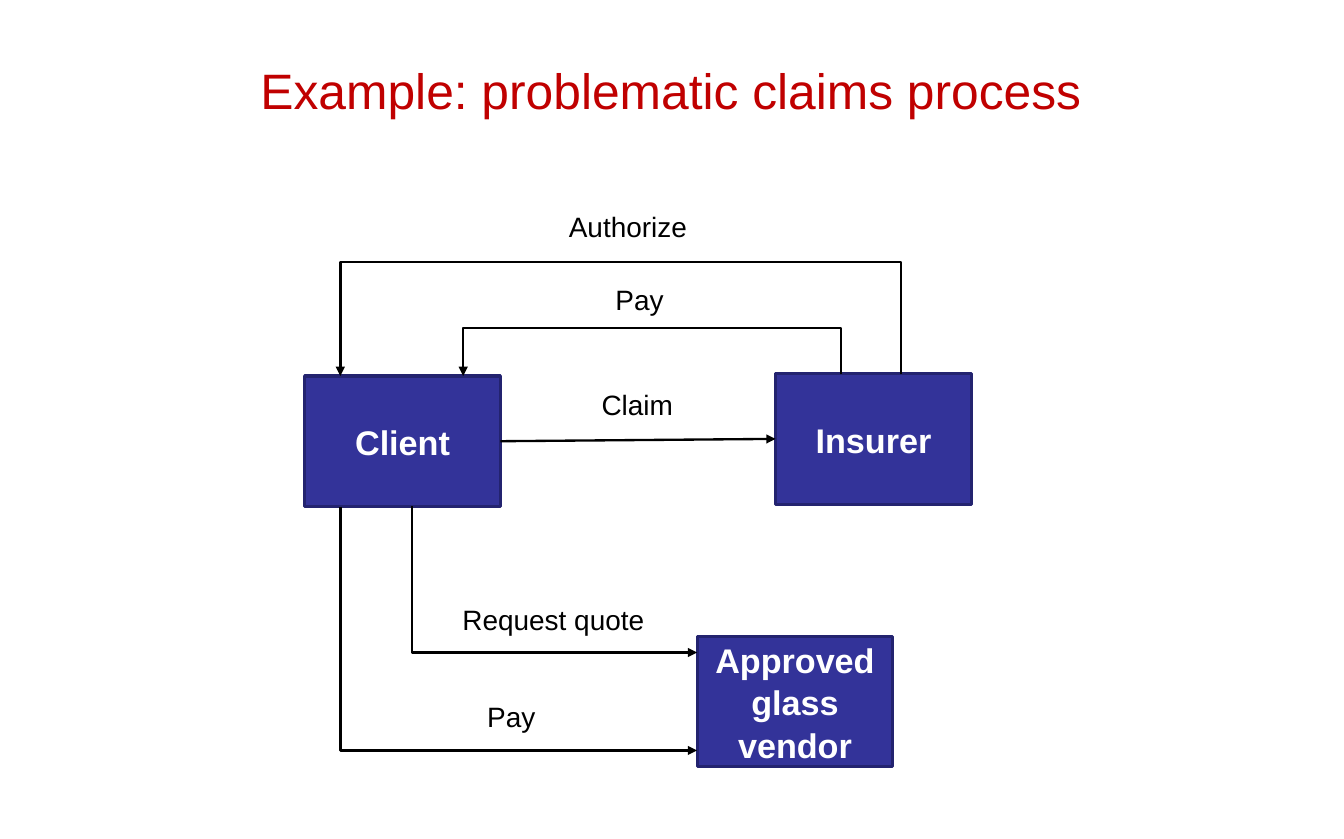
from lxml import etree
from pptx import Presentation
from pptx import util as u
from pptx.dml.color import RGBColor
from pptx.enum import shapes, text
from pptx.oxml.ns import qn

Pt = u.Pt
BOX = (126, 84)


def color(code):
    return RGBColor.from_string(code)


def write(frame, words, hue, align, anchor, gap=1.0, **style):
    form = dict(margin_left=0, margin_right=0, margin_top=0,
                margin_bottom=0, vertical_anchor=anchor)
    for key, value in form.items():
        setattr(frame, key, value)
    frame.text = words
    para = frame.paragraphs[0]
    para.alignment = align
    para.line_spacing = gap
    for key, value in {"name": "Arial", **style}.items():
        setattr(para.font, key, value)
    para.font.color.rgb = color(hue)


def head(slide, words):
    title = slide.shapes.title
    place = dict(left=Pt(132), top=Pt(35), width=Pt(600), height=Pt(42))
    for key, value in place.items():
        setattr(title, key, value)
    write(title.text_frame, words, "C00000", text.PP_ALIGN.CENTER,
          text.MSO_ANCHOR.BOTTOM, size=Pt(32), bold=False)


def party(slide, words, left, top):
    box = slide.shapes.add_shape(shapes.MSO_SHAPE.RECTANGLE, Pt(left),
                                 Pt(top), *map(Pt, BOX))
    box.shadow.inherit = False
    box.fill.solid()
    box.fill.fore_color.rgb = color("333399")
    box.line.color.rgb = color("23236F")
    box.line.width = Pt(2)
    frame = box.text_frame
    frame.word_wrap = True
    write(frame, words, "FFFFFF", text.PP_ALIGN.CENTER,
          text.MSO_ANCHOR.MIDDLE, gap=1.04, size=Pt(22), bold=True)
    return box


def label(slide, words, left, top, width):
    box = slide.shapes.add_textbox(Pt(left), Pt(top), Pt(width), Pt(21))
    box.text_frame.word_wrap = False
    write(box.text_frame, words, "000000", text.PP_ALIGN.LEFT,
          text.MSO_ANCHOR.TOP, size=Pt(18))


def arrow(line):
    line.color.rgb = color("000000")
    line.width = Pt(1.5)
    etree.SubElement(line._get_or_add_ln(), qn("a:tailEnd"), type="triangle")


def route(slide, *points):
    first, *rest = [(Pt(x), Pt(y)) for x, y in points]
    build = slide.shapes.build_freeform(*first)
    build.add_line_segments(rest, close=False)
    bend = build.convert_to_shape()
    bend.shadow.inherit = False
    bend.fill.background()
    arrow(bend.line)


def link(slide, start, end):
    line = slide.shapes.add_connector(shapes.MSO_CONNECTOR.STRAIGHT, 0, 0, 0, 0)
    line.begin_connect(start, 3)
    line.end_connect(end, 1)
    arrow(line.line)
    etree.SubElement(line._element.spPr, qn("a:effectLst"))


def main():
    deck = Presentation()
    deck.slide_width, deck.slide_height = Pt(864.7), Pt(540)
    slide = deck.slides.add_slide(deck.slide_layouts[5])
    head(slide, "Example: problematic claims process")

    client = party(slide, "Client", 196, 242)
    insurer = party(slide, "Insurer", 499, 240.5)
    party(slide, "Approved glass vendor", 448.5, 409.5)

    link(slide, client, insurer)
    for start, end, level in ((579.5, 219, 168.5), (541, 298, 211)):
        route(slide, (start, 241), (start, level), (end, level), (end, 242))
    for start, level in ((265, 420), (219, 483)):
        route(slide, (start, 326), (start, level), (448.5, level))

    for words, left, top, width in (
            ("Authorize", 366, 135, 78),
            ("Pay", 396, 182, 33),
            ("Claim", 387, 249.5, 48),
            ("Request quote", 297.5, 388, 119),
            ("Pay", 313.5, 450.5, 33)):
        label(slide, words, left, top, width)
    deck.save("out.pptx")


if __name__ == "__main__":
    main()
